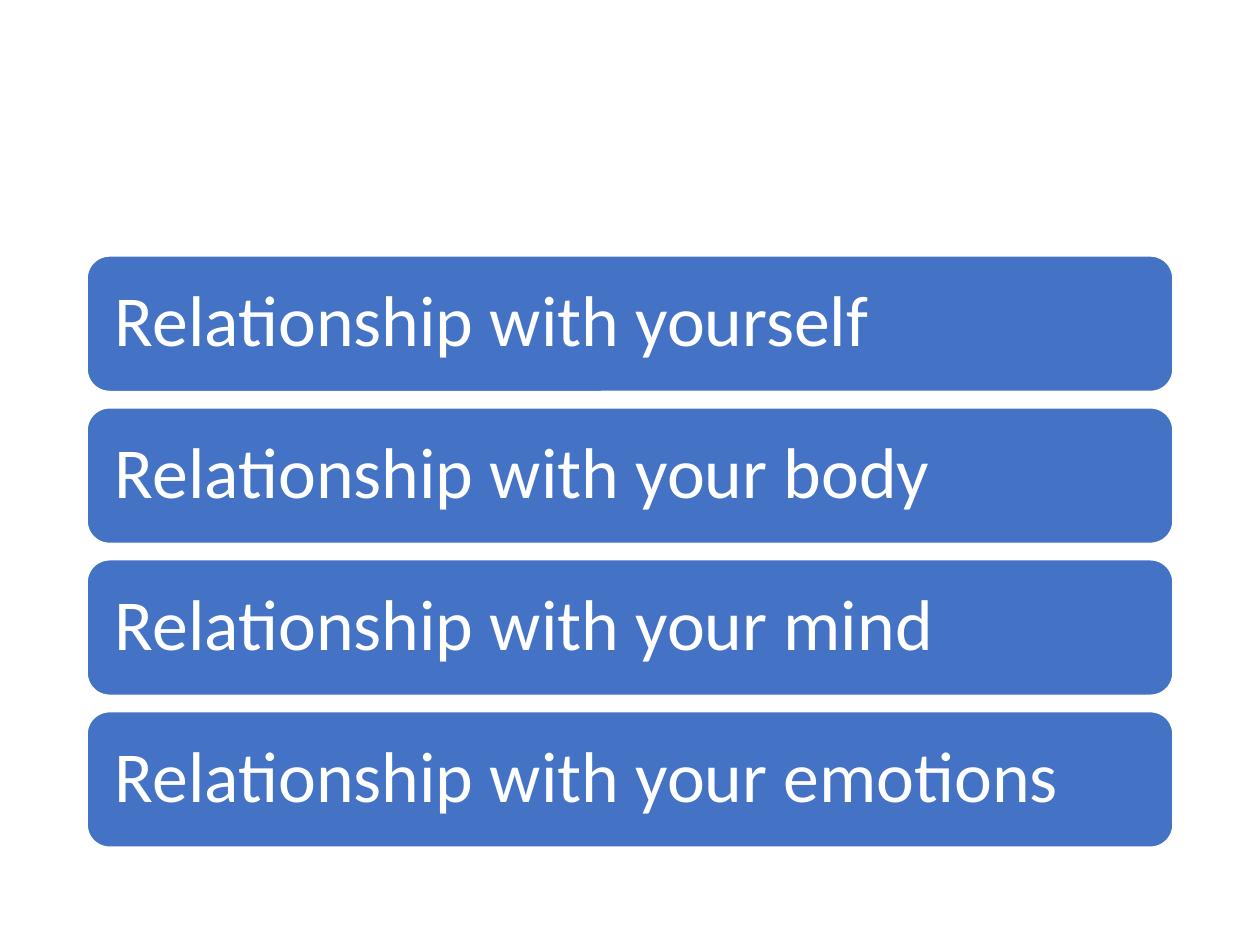
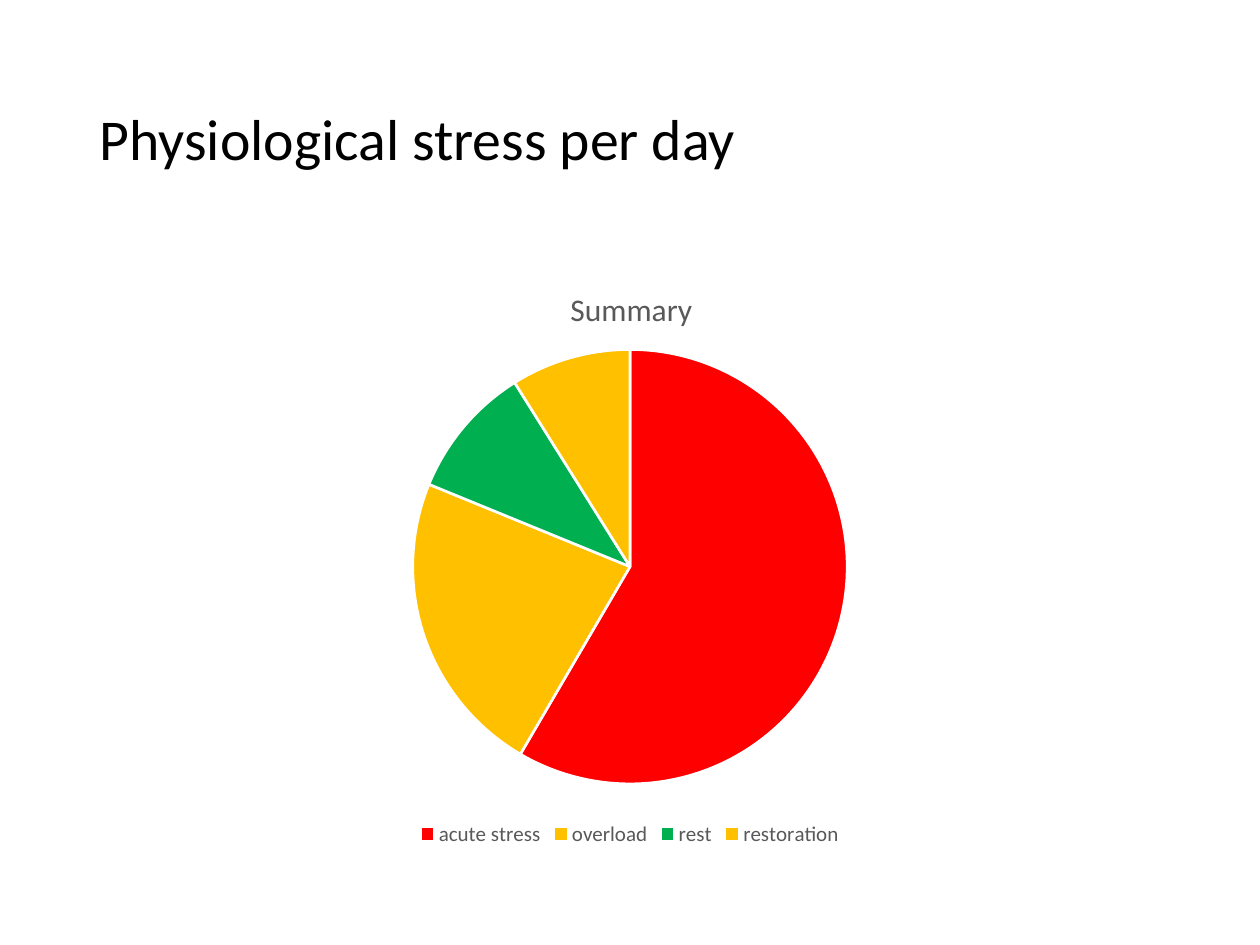
from dataclasses import dataclass

from lxml import etree
from pptx import Presentation
from pptx.chart.data import CategoryChartData
from pptx.dml.color import RGBColor
from pptx.enum import chart as charts, shapes, text
from pptx.oxml import ns
from pptx.util import Pt

FONT = "Calibri"
BLUE, WHITE, BLACK, GREY = "4472C4", "FFFFFF", "000000", "595959"
RED, AMBER, GREEN = "FF0000", "FFC000", "00B050"
LEFT, WIDTH = 49.68, 620.64  # content column shared by both slides


@dataclass
class Slice:
    label: str
    share: int
    color: str


RELATIONSHIPS = ["yourself", "your body", "your mind", "your emotions"]
STRESS_SLICES = [
    Slice("acute stress", 59, RED),
    Slice("overload", 23, AMBER),
    Slice("rest", 10, GREEN),
    Slice("restoration", 9, AMBER),
]


def rgb(color: str) -> RGBColor:
    return RGBColor.from_string(color)


def set_font(font, size: float, color: str) -> None:
    for name, value in {"name": FONT, "size": Pt(size), "bold": False}.items():
        setattr(font, name, value)
    font.color.rgb = rgb(color)


def set_frame(frame, content: str, size: float, color: str, **settings) -> None:
    """Write one left-aligned, vertically centred paragraph."""
    frame.text = content
    settings |= {"word_wrap": True, "vertical_anchor": text.MSO_ANCHOR.MIDDLE}
    for name, value in settings.items():
        setattr(frame, name, value)
    paragraph = frame.paragraphs[0]
    paragraph.alignment = text.PP_ALIGN.LEFT
    paragraph.line_spacing = 0.9
    set_font(paragraph.runs[0].font, size, color)


def add_bar(slide, label: str, top: float) -> None:
    bar = slide.shapes.add_shape(shapes.MSO_SHAPE.ROUNDED_RECTANGLE,
                                 Pt(LEFT), Pt(top), Pt(WIDTH), Pt(77.6))
    bar.shadow.inherit = False
    bar.fill.solid()
    bar.fill.fore_color.rgb = rgb(BLUE)
    bar.line.color.rgb = rgb(WHITE)
    bar.line.width = Pt(1)
    set_frame(bar.text_frame, label, 41, WHITE,
              margin_left=Pt(12.24), margin_right=Pt(12.24))


def place(parent, **fractions: float) -> None:
    """Give a chart part a fixed place, in fractions of the chart."""
    layout = parent.find(ns.qn("c:layout"))
    if layout is None:
        layout = etree.Element(ns.qn("c:layout"))
        parent.insert(0, layout)
    manual = etree.SubElement(layout, ns.qn("c:manualLayout"))
    settings = {"xMode": "edge", "yMode": "edge", **fractions}
    if "w" in fractions:
        settings = {"layoutTarget": "inner", **settings}
    for name, value in settings.items():
        etree.SubElement(manual, ns.qn(f"c:{name}")).set("val", str(value))


def add_pie(slide, title: str, slices: list[Slice]) -> None:
    data = CategoryChartData()
    data.categories = [part.label for part in slices]
    data.add_series("Series 1", [part.share for part in slices])
    pie = slide.shapes.add_chart(charts.XL_CHART_TYPE.PIE, Pt(LEFT), Pt(144),
                                 Pt(WIDTH), Pt(342.72), data).chart
    set_font(pie.font, 10, BLACK)

    # Title and plot area
    pie.has_title = True
    heading = pie.chart_title.text_frame
    heading.text = title
    set_font(heading.paragraphs[0].runs[0].font, 18, GREY)
    place(heading._txBody.getparent().getparent(), x=0.44, y=0.05)
    place(pie._chartSpace.chart.plotArea, x=0.3, y=0.16, w=0.4, h=0.73)

    # Legend
    pie.has_legend = True
    pie.legend.position = charts.XL_LEGEND_POSITION.BOTTOM
    pie.legend.include_in_layout = False
    set_font(pie.legend.font, 12, GREY)

    # Slices
    plot = pie.plots[0]
    plot.vary_by_categories = True
    for index, part in enumerate(slices):
        look = plot.series[0].points[index].format
        look.fill.solid()
        look.fill.fore_color.rgb = rgb(part.color)
        look.line.color.rgb = rgb(WHITE)
        look.line.width = Pt(1.5)


def main() -> None:
    deck = Presentation()
    deck.slide_width, deck.slide_height = Pt(720), Pt(540)

    # Slide 1: the four relationships
    relationships = deck.slides.add_slide(deck.slide_layouts[6])
    for row, partner in enumerate(RELATIONSHIPS):
        add_bar(relationships, f"Relationship with {partner}", 146.2 + row * 86.8)

    # Slide 2: stress over the day
    stress = deck.slides.add_slide(deck.slide_layouts[5])
    heading = stress.shapes.title
    box = {"left": LEFT, "top": 28.8, "width": WIDTH, "height": 104.4}
    for name, value in box.items():
        setattr(heading, name, Pt(value))
    set_frame(heading.text_frame, "Physiological stress per day", 33, BLACK)
    add_pie(stress, "Summary", STRESS_SLICES)

    deck.save("out.pptx")


if __name__ == "__main__":
    main()
